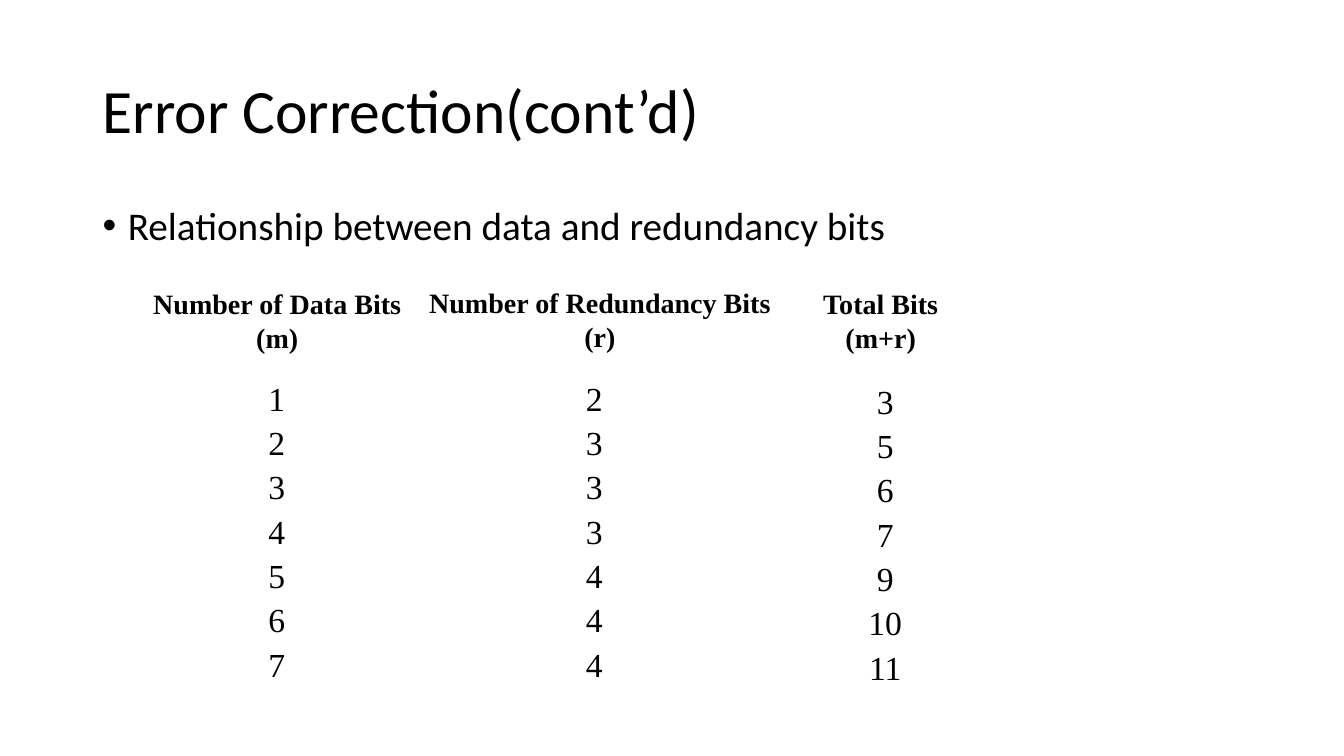
from pptx import Presentation
from pptx.dml.color import RGBColor
from pptx.enum.shapes import MSO_CONNECTOR as Connector, MSO_SHAPE as Shape
from pptx.enum.text import MSO_ANCHOR as Anchor, MSO_AUTO_SIZE as AutoSize, PP_ALIGN as Align
from pptx.oxml.xmlchemy import OxmlElement
from pptx.util import Inches, Pt

BLACK = RGBColor(0, 0, 0)
WHITE = RGBColor(255, 255, 255)

# Each column: heading lines, heading place, values, place of the values
COLUMNS = [
    (["Number of Data Bits", "(m)"], (1.41, 2.79, 2.68, 0.77),
     [1, 2, 3, 4, 5, 6, 7], (2.56, 3.64, 0.37, 3.21)),
    (["Number of Redundancy Bits", "(r)"], (4.14, 2.78, 3.62, 0.77),
     [2, 3, 3, 3, 4, 4, 4], (5.71, 3.64, 0.37, 3.21)),
    (["Total Bits", "(m+r)"], (8.06, 2.79, 1.35, 0.77),
     [3, 5, 6, 7, 9, 10, 11], (8.51, 3.67, 0.54, 3.21)),
]
GRID_FRAME = (1.41, 2.77, 8.33, 4.17)
GRID_LINES = [
    (1.41, 3.6, 9.75, 3.6),
    (4.08, 2.77, 4.08, 6.94),
    (7.83, 2.77, 7.84, 6.97),
]


class SlideWriter:
    text_font = "Calibri"
    grid_font = "Times New Roman"
    grid_line_width = Pt(3)

    def __init__(self, page):
        self.shapes = page.shapes

    def add_box(self, place, anchor):
        box = self.shapes.add_textbox(*map(Inches, place))
        box.text_frame.vertical_anchor = anchor
        return box.text_frame

    def add_span(self, para, text, font, size, bold=False):
        span = para.add_run()
        span.text = text
        span.font.name = font
        span.font.size = Pt(size)
        span.font.bold = bold
        span.font.color.rgb = BLACK

    def add_bullet(self, para):
        properties = para._p.get_or_add_pPr()
        properties.set("marL", str(Inches(0.25)))
        properties.set("indent", str(-Inches(0.25)))
        font = OxmlElement("a:buFont")
        font.set("typeface", "Arial")
        mark = OxmlElement("a:buChar")
        mark.set("char", "•")
        properties.extend([font, mark])

    def text(self, text, place, size, anchor=Anchor.TOP, bullet=False):
        frame = self.add_box(place, anchor)
        frame.word_wrap = True
        para = frame.paragraphs[0]
        para.line_spacing = 0.9
        if bullet:
            self.add_bullet(para)
        self.add_span(para, text, self.text_font, size)

    def stack(self, lines, place, size, bold=False, spacing=None):
        """Write centred lines under each other in a box that does not wrap."""
        frame = self.add_box(place, Anchor.MIDDLE)
        frame.word_wrap = False
        frame.auto_size = AutoSize.SHAPE_TO_FIT_TEXT
        for index, line in enumerate(lines):
            para = frame.add_paragraph() if index else frame.paragraphs[0]
            para.alignment = Align.CENTER
            para.line_spacing = spacing
            self.add_span(para, str(line), self.grid_font, size, bold)

    def style_line(self, line):
        line.color.rgb = WHITE
        line.width = self.grid_line_width

    def frame(self, place):
        border = self.shapes.add_shape(Shape.RECTANGLE, *map(Inches, place))
        border.shadow.inherit = False
        border.fill.background()
        self.style_line(border.line)

    def line(self, ends):
        rule = self.shapes.add_connector(Connector.STRAIGHT, *map(Inches, ends))
        self.style_line(rule.line)
        rule._element.spPr.append(OxmlElement("a:effectLst"))


def main():
    deck = Presentation()
    deck.slide_width, deck.slide_height = Inches(13.33), Inches(7.5)
    writer = SlideWriter(deck.slides.add_slide(deck.slide_layouts[6]))
    writer.text("Error Correction(cont’d)", (0.92, 0.4, 11.5, 1.45), 44, Anchor.MIDDLE)
    writer.text("Relationship between data and redundancy bits",
                (0.92, 2, 11.5, 4.76), 28, bullet=True)
    writer.frame(GRID_FRAME)
    for ends in GRID_LINES:
        writer.line(ends)
    for heading, heading_place, values, values_place in COLUMNS:
        writer.stack(heading, heading_place, 20, bold=True)
        writer.stack(values, values_place, 24, spacing=1.1)
    deck.save("out.pptx")


if __name__ == "__main__":
    main()
